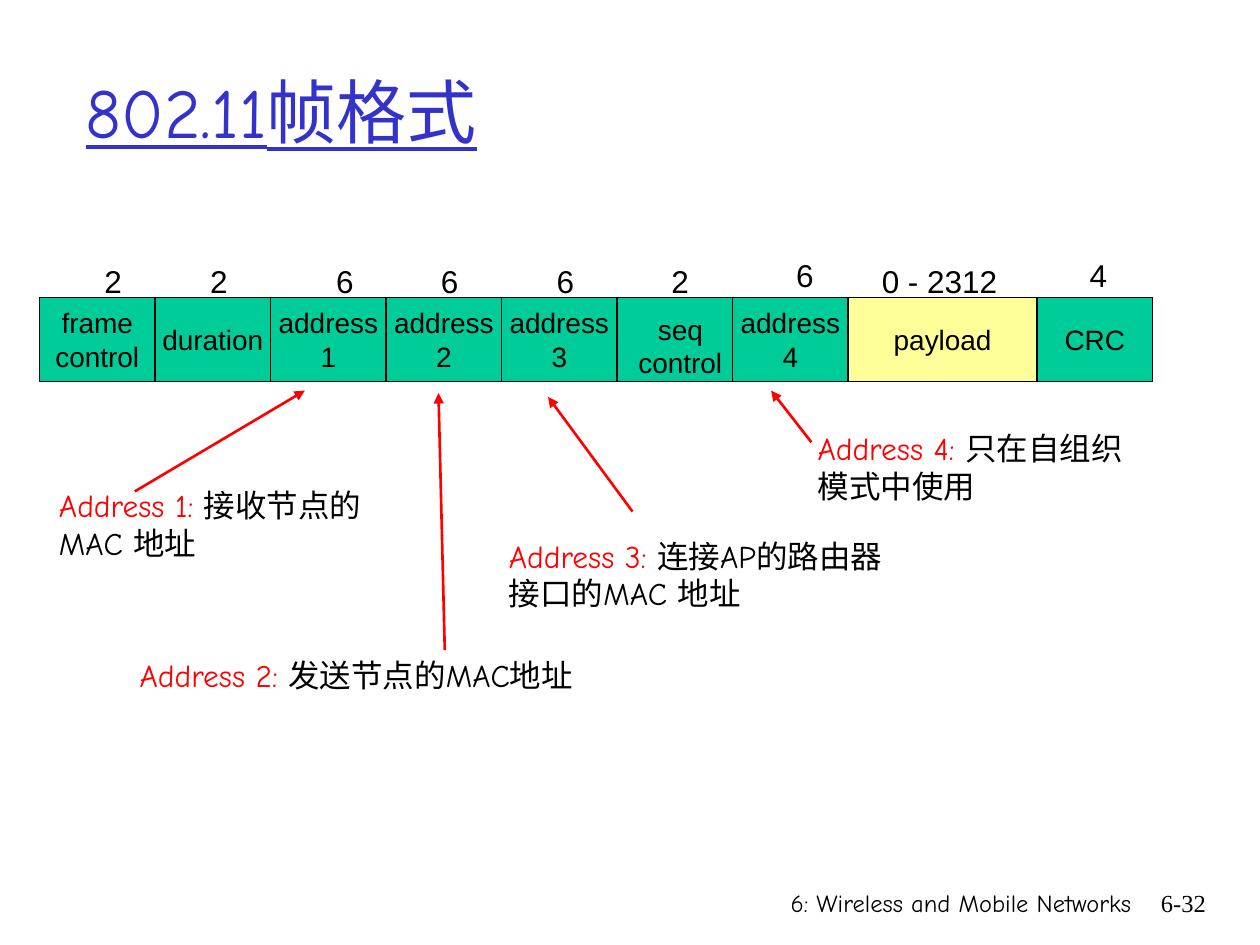
from lxml import etree
from pptx import Presentation
from pptx.dml.color import RGBColor
from pptx.enum.shapes import MSO_CONNECTOR, MSO_SHAPE
from pptx.enum.text import MSO_ANCHOR, MSO_AUTO_SIZE, PP_ALIGN
from pptx.oxml.ns import qn
from pptx.util import Inches, Pt

RECT = MSO_SHAPE.RECTANGLE
LINE = MSO_CONNECTOR.STRAIGHT
LEFT, MID, RIGHT = PP_ALIGN.LEFT, PP_ALIGN.CENTER, PP_ALIGN.RIGHT
TOP, CORE = MSO_ANCHOR.TOP, MSO_ANCHOR.MIDDLE
GROW, FIXED = MSO_AUTO_SIZE.SHAPE_TO_FIT_TEXT, MSO_AUTO_SIZE.NONE
HUES = {"black": "000000", "red": "FF0000", "blue": "3333CC",
        "green": "00CC99", "yellow": "FFFF99"}
SANS, HAND, SERIF = "Arial", "Comic Neue", "Times New Roman"


def color(name):
    return RGBColor.from_string(HUES[name])


def write(frame, text, font=SANS, size=18, hue="black", lead="", align=LEFT,
          anchor=TOP, wrap=False, fit=GROW, under=False):
    frame.auto_size = fit
    frame.word_wrap = wrap
    frame.vertical_anchor = anchor
    for i, line in enumerate(text.split("\n")):
        para = frame.paragraphs[0] if i == 0 else frame.add_paragraph()
        para.alignment = align
        parts = [(line, hue)]
        if lead and i == 0:
            parts.insert(0, (lead, "red"))
        for words, tint in parts:
            run = para.add_run()
            run.text = words
            run.font.name = font
            run.font.size = Pt(size)
            run.font.underline = under
            run.font.color.rgb = color(tint)


class Page:
    def __init__(self, deck):
        self.slide = deck.slides.add_slide(deck.slide_layouts[5])
        self.shapes = self.slide.shapes

    def title(self, text, box):
        head = self.shapes.title
        head.left, head.top, head.width, head.height = map(Inches, box)
        write(head.text_frame, text, font=HAND, size=40, hue="blue",
              anchor=CORE, wrap=True, fit=FIXED, under=True)

    def label(self, text, box, **style):
        item = self.shapes.add_textbox(*map(Inches, box))
        write(item.text_frame, text, **style)

    def cell(self, text, box, fill):
        item = self.shapes.add_shape(RECT, *map(Inches, box))
        item.shadow.inherit = False
        item.fill.solid()
        item.fill.fore_color.rgb = color(fill)
        item.line.color.rgb = color("black")
        item.line.width = Pt(0.75)
        if text:
            write(item.text_frame, text, size=16, align=MID, anchor=CORE,
                  fit=FIXED)

    def arrow(self, start, end):
        item = self.shapes.add_connector(LINE, *map(Inches, start + end))
        item.line.color.rgb = color("red")
        item.line.width = Pt(1.5)
        props = item._element.spPr
        etree.SubElement(props.find(qn("a:ln")), qn("a:tailEnd"),
                         type="triangle")
        etree.SubElement(props, qn("a:effectLst"))


def main():
    deck = Presentation()
    deck.slide_width, deck.slide_height = Inches(10), Inches(7.5)
    page = Page(deck)
    page.title("802.11帧格式", (0.58, 0.25, 8.5, 1.25))

    unit, wide = 5.5 / 6, 1.5
    fields = [
        ("frame\ncontrol", "2", 0.73, 2.03),
        ("duration", "2", 1.57, 2.03),
        ("address\n1", "6", 2.57, 2.03),
        ("address\n2", "6", 3.4, 2.03),
        ("address\n3", "6", 4.32, 2.03),
        ("", "2", 5.23, 2.03),
        ("address\n4", "6", 6.22, 1.98),
        ("payload", "0 - 2312", 6.9, 2.03),
        ("CRC", "4", 8.55, 1.98),
    ]
    left = 0.315
    for name, count, x, y in fields:
        data = name == "payload"
        width = wide if data else unit
        page.cell(name, (left, 2.36, width, 0.67),
                  "yellow" if data else "green")
        left += width
    for name, count, x, y in fields:
        page.label(count, (x, y, 1.3 if name == "payload" else 0.34, 0.4))
    page.label("seq\ncontrol", (4.9, 2.43, 1, 0.64), size=16, align=MID)

    notes = [
        ("Address 1: ", "接收节点的\nMAC 地址", (0.37, 3.81, 2.8, 0.7), False,
         (1.07, 3.9), (2.42, 3.1)),
        ("Address 2: ", "发送节点的MAC地址", (1.01, 5.16, 4, 0.4), False,
         (3.53, 5.16), (3.48, 3.12)),
        ("Address 3: ", "连接AP的路由器接口的MAC 地址", (3.94, 4.21, 3.25, 0.7),
         True, (5.02, 4.06), (4.35, 3.15)),
        ("Address 4: ", "只在自组织模式中使用", (6.39, 3.36, 2.85, 0.7), True,
         (6.44, 3.51), (6.12, 3.1)),
    ]
    for lead, text, box, wrap, start, end in notes:
        page.label(text, box, lead=lead, font=HAND, wrap=wrap)
        page.arrow(start, end)

    foot = dict(size=14, align=RIGHT, wrap=True, fit=FIXED)
    page.label("6: Wireless and Mobile Networks", (4.86, 7, 4.22, 0.5),
               font=HAND, **foot)
    page.label("6-32", (8.93, 7, 0.74, 0.5), font=SERIF, **foot)
    deck.save("out.pptx")


if __name__ == "__main__":
    main()
